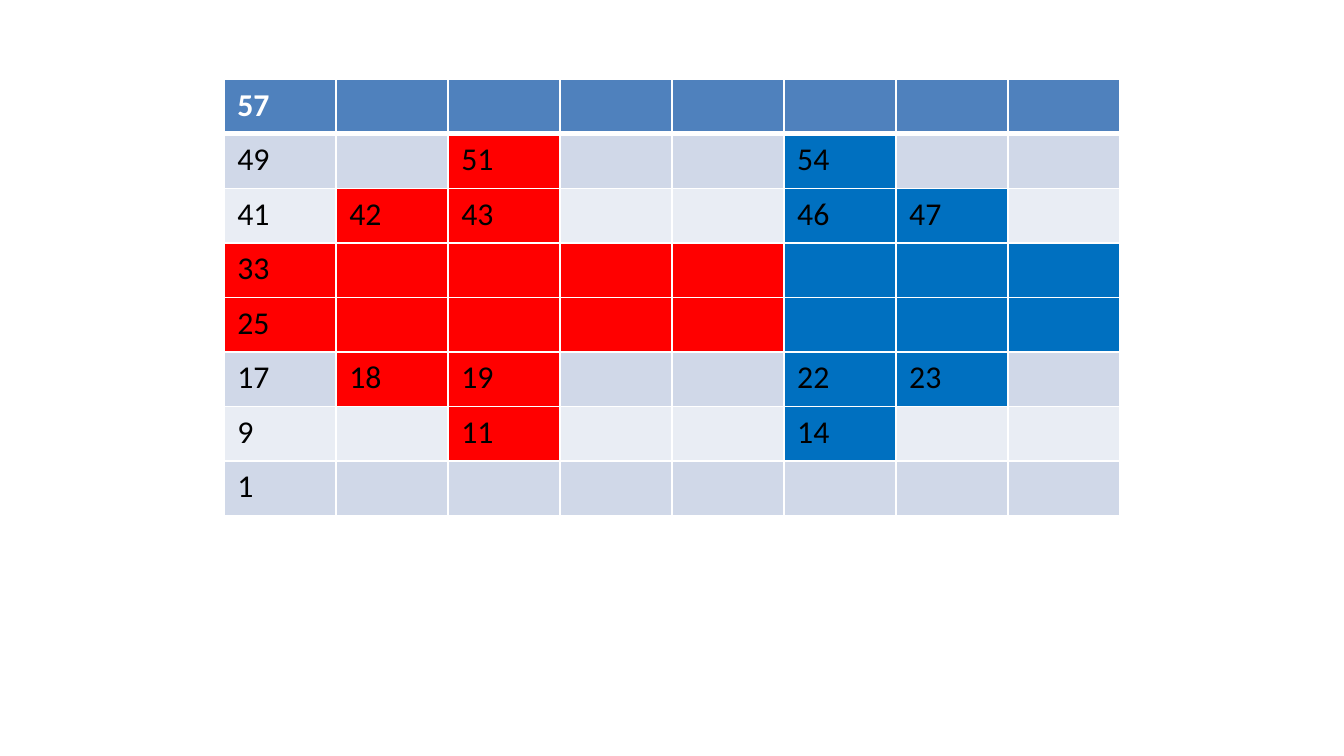
"""Build a slide with an eight by eight numbered board of red and blue arrows."""
import dataclasses
import typing

import pptx
import pptx.dml.color
import pptx.oxml
import pptx.oxml.ns
import pptx.util


@dataclasses.dataclass(frozen=True)
class Theme:
    font: str = "Calibri"
    text_size: int = 17
    header: str = "4F81BD"
    header_text: str = "FFFFFF"
    text: str = "000000"
    bands: tuple[str, str] = ("E9EDF4", "D0D8E8")
    red: str = "FF0000"
    blue: str = "0070C0"
    border: str = "FFFFFF"
    thin: int = 1
    thick: int = 3


@dataclasses.dataclass(frozen=True)
class Square:
    text: str
    fill: str
    color: str
    bold: bool
    top: int
    bottom: int


THEME = Theme()
SIZE = 8
SLIDE_WIDTH = pptx.util.Inches(10)
SLIDE_HEIGHT = SLIDE_WIDTH * 9 // 16
COLUMN = SLIDE_WIDTH // 12
ROW = pptx.util.Pt(29.2)
TOP = pptx.util.Inches(0.59)
UPPER_HALF = ("........", "..R..B..", ".RR..BB.", "RRRRRBBB")
BOARD = UPPER_HALF + UPPER_HALF[::-1]
MIDDLE_ROWS = (3, 4)


def describe_square(row: int, column: int) -> Square:
    mark = BOARD[row][column]
    header = row == 0
    background = THEME.header if header else THEME.bands[row % 2]
    numbered = column == 0 or (mark != "." and row not in MIDDLE_ROWS)
    return Square(
        text=str((SIZE - 1 - row) * SIZE + column + 1) if numbered else "",
        fill={"R": THEME.red, "B": THEME.blue}.get(mark, background),
        color=THEME.header_text if header else THEME.text,
        bold=header,
        top=THEME.thick if row == 1 else THEME.thin,
        bottom=THEME.thick if header else THEME.thin,
    )


def add_border(cell: typing.Any, side: str, points: int) -> None:
    cell._tc.get_or_add_tcPr().append(pptx.oxml.parse_xml(
        f'<a:ln{side} {pptx.oxml.ns.nsdecls("a")} w="{pptx.util.Pt(points)}">'
        f'<a:solidFill><a:srgbClr val="{THEME.border}"/></a:solidFill></a:ln{side}>'
    ))


def draw_square(cell: typing.Any, square: Square) -> None:
    widths = {"L": THEME.thin, "R": THEME.thin, "T": square.top, "B": square.bottom}
    for side, points in widths.items():
        add_border(cell, side, points)
    cell.fill.solid()
    cell.fill.fore_color.rgb = pptx.dml.color.RGBColor.from_string(square.fill)
    paragraph = cell.text_frame.paragraphs[0]
    paragraph.font.size = pptx.util.Pt(THEME.text_size)
    if square.text:
        run = paragraph.add_run()
        run.text = square.text
        run.font.name = THEME.font
        run.font.size = pptx.util.Pt(THEME.text_size)
        run.font.bold = square.bold
        run.font.color.rgb = pptx.dml.color.RGBColor.from_string(square.color)


def draw_board(slide: typing.Any) -> None:
    table = slide.shapes.add_table(
        SIZE, SIZE, 2 * COLUMN, TOP, SIZE * COLUMN, SIZE * ROW
    ).table
    for row in range(SIZE):
        for column in range(SIZE):
            draw_square(table.cell(row, column), describe_square(row, column))


def main() -> None:
    presentation = pptx.Presentation()
    presentation.slide_width = SLIDE_WIDTH
    presentation.slide_height = SLIDE_HEIGHT
    draw_board(presentation.slides.add_slide(presentation.slide_layouts[6]))
    presentation.save("out.pptx")


if __name__ == "__main__":
    main()
